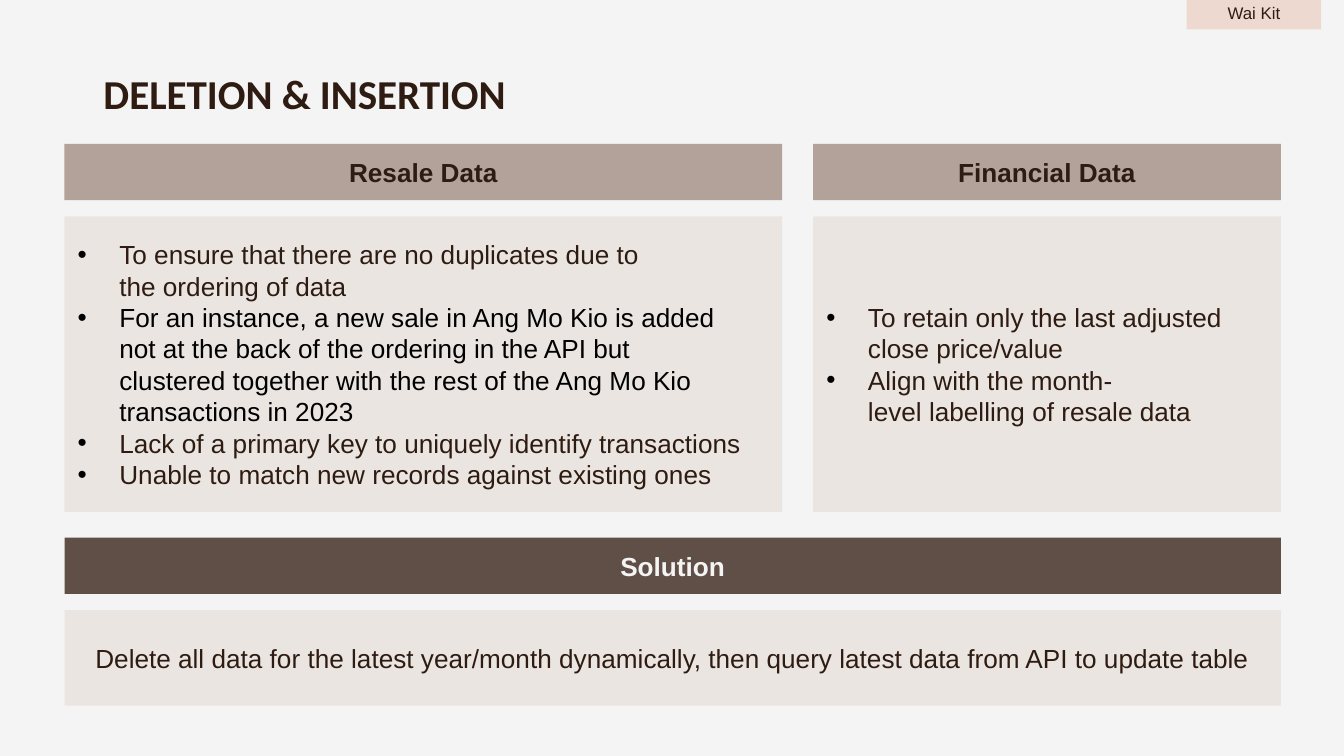
from lxml import etree
from pptx import Presentation
from pptx import util as u
from pptx.dml.color import RGBColor
from pptx.enum import shapes, text
from pptx.oxml.ns import qn

COLOURS = {
    "background": "F4F4F4", "ink": "2E1B11", "black": "000000",
    "header": "B3A29A", "panel": "EAE5E1", "solution": "5F4F47", "tag": "EDD9CF",
}

# Content: each bullet is (wording, colour); ~ stands for a no-break space
NO_BREAK_SPACE = chr(160)
TITLE = "DELETION & INSERTION"
PRESENTER = "Wai Kit"
TOPICS = [
    ("Resale Data", [
        ("To ensure that there are no duplicates due to the~ordering of data", "ink"),
        ("For~an instance, a new sale in Ang Mo Kio is added not~at the back of the "
         "ordering in the API but clustered~together with the rest of the Ang Mo Kio "
         "transactions~in 2023", "black"),
        ("Lack of a primary key to uniquely identify transactions", "ink"),
        ("Unable to match new records against existing ones", "ink"),
    ]),
    ("Financial Data", [
        ("To retain only the last~adjusted close price/value", "ink"),
        ("Align with the month-level~labelling of resale data", "ink"),
    ]),
]
SOLUTION = ("Solution",
            "Delete all data for the latest~year/month~dynamically, then query~"
            "latest data from API to update table")

# Grid, in inches
WIDTH = 10
HEIGHT = WIDTH * 9 / 16
MARGIN, GUTTER = 0.48, 0.23
FULL = 9.05
LEFT_COLUMN = 5.34
COLUMNS = [(MARGIN, LEFT_COLUMN),
           (MARGIN + LEFT_COLUMN + GUTTER, FULL - LEFT_COLUMN - GUTTER)]
HEADER_HEIGHT, HEADER_GAP = 0.42, 0.12
TOPICS_TOP, TOPIC_HEIGHT = 1.07, 2.2
SOLUTION_TOP, SOLUTION_HEIGHT = 4, 0.71
INDENT = 0.31


def colour(name):
    return RGBColor.from_string(COLOURS[name])


def add_run(paragraph, wording, tone="ink", size=14, bold=False, font="Arial"):
    run = paragraph.add_run()
    run.text = wording.replace("~", NO_BREAK_SPACE)
    run.font.name, run.font.size, run.font.bold = font, u.Pt(size), bold
    run.font.color.rgb = colour(tone)


def add_box(slide, left, top, width, height, fill):
    shape = slide.shapes.add_shape(
        shapes.MSO_SHAPE.RECTANGLE, *map(u.Inches, (left, top, width, height)))
    shape.shadow.inherit = False
    shape.fill.solid()
    shape.fill.fore_color.rgb = colour(fill)
    shape.line.fill.background()
    frame = shape.text_frame
    frame.word_wrap = True
    frame.vertical_anchor = text.MSO_ANCHOR.MIDDLE
    return frame


def add_label(slide, place, fill, wording, **style):
    frame = add_box(slide, *place, fill)
    paragraph = frame.paragraphs[0]
    paragraph.alignment = text.PP_ALIGN.CENTER
    add_run(paragraph, wording, **style)
    return frame


def add_bullet(paragraph):
    paragraph.alignment = text.PP_ALIGN.LEFT
    properties = paragraph._p.get_or_add_pPr()
    properties.set("marL", str(u.Inches(INDENT)))
    properties.set("indent", str(-u.Inches(INDENT)))
    tint = etree.SubElement(properties, qn("a:buClr"))
    etree.SubElement(tint, qn("a:srgbClr"), val=COLOURS["black"])
    etree.SubElement(properties, qn("a:buFont"), typeface="Arial")
    etree.SubElement(properties, qn("a:buChar"), char="•")


def add_title(slide):
    title = slide.shapes.title
    title.left, title.top, title.width, title.height = map(
        u.Inches, (0.67, 0.41, 3.67, 1.03))
    frame = title.text_frame
    frame.word_wrap = True
    frame.auto_size = text.MSO_AUTO_SIZE.NONE
    frame.vertical_anchor = text.MSO_ANCHOR.TOP
    frame.margin_left = frame.margin_right = u.Inches(0.1)
    frame.margin_top = frame.margin_bottom = u.Inches(0.1)
    paragraph = frame.paragraphs[0]
    paragraph.alignment = text.PP_ALIGN.LEFT
    add_run(paragraph, TITLE, size=22, bold=True, font="Calibri")


def main():
    presentation = Presentation()
    presentation.slide_width = u.Inches(WIDTH)
    presentation.slide_height = u.Inches(HEIGHT)
    slide = presentation.slides.add_slide(presentation.slide_layouts[5])
    slide.background.fill.solid()
    slide.background.fill.fore_color.rgb = colour("background")
    add_title(slide)

    # Topic columns: header above a bulleted panel
    step = HEADER_HEIGHT + HEADER_GAP
    for (left, width), (heading, bullets) in zip(COLUMNS, TOPICS):
        add_label(slide, (left, TOPICS_TOP, width, HEADER_HEIGHT), "header",
                  heading, bold=True)
        frame = add_box(slide, left, TOPICS_TOP + step, width, TOPIC_HEIGHT, "panel")
        for index, (wording, tone) in enumerate(bullets):
            paragraph = frame.add_paragraph() if index else frame.paragraphs[0]
            add_bullet(paragraph)
            add_run(paragraph, wording, tone)

    # Solution across the full width
    heading, wording = SOLUTION
    add_label(slide, (MARGIN, SOLUTION_TOP, FULL, HEADER_HEIGHT), "solution",
              heading, tone="background", bold=True)
    add_label(slide, (MARGIN, SOLUTION_TOP + step, FULL, SOLUTION_HEIGHT), "panel",
              wording)

    # Presenter tag on the top edge
    tag = add_label(slide, (8.83, -0.08, 1, 0.3), "tag", PRESENTER, size=9)
    tag.vertical_anchor = text.MSO_ANCHOR.BOTTOM

    presentation.save("out.pptx")


if __name__ == "__main__":
    main()
